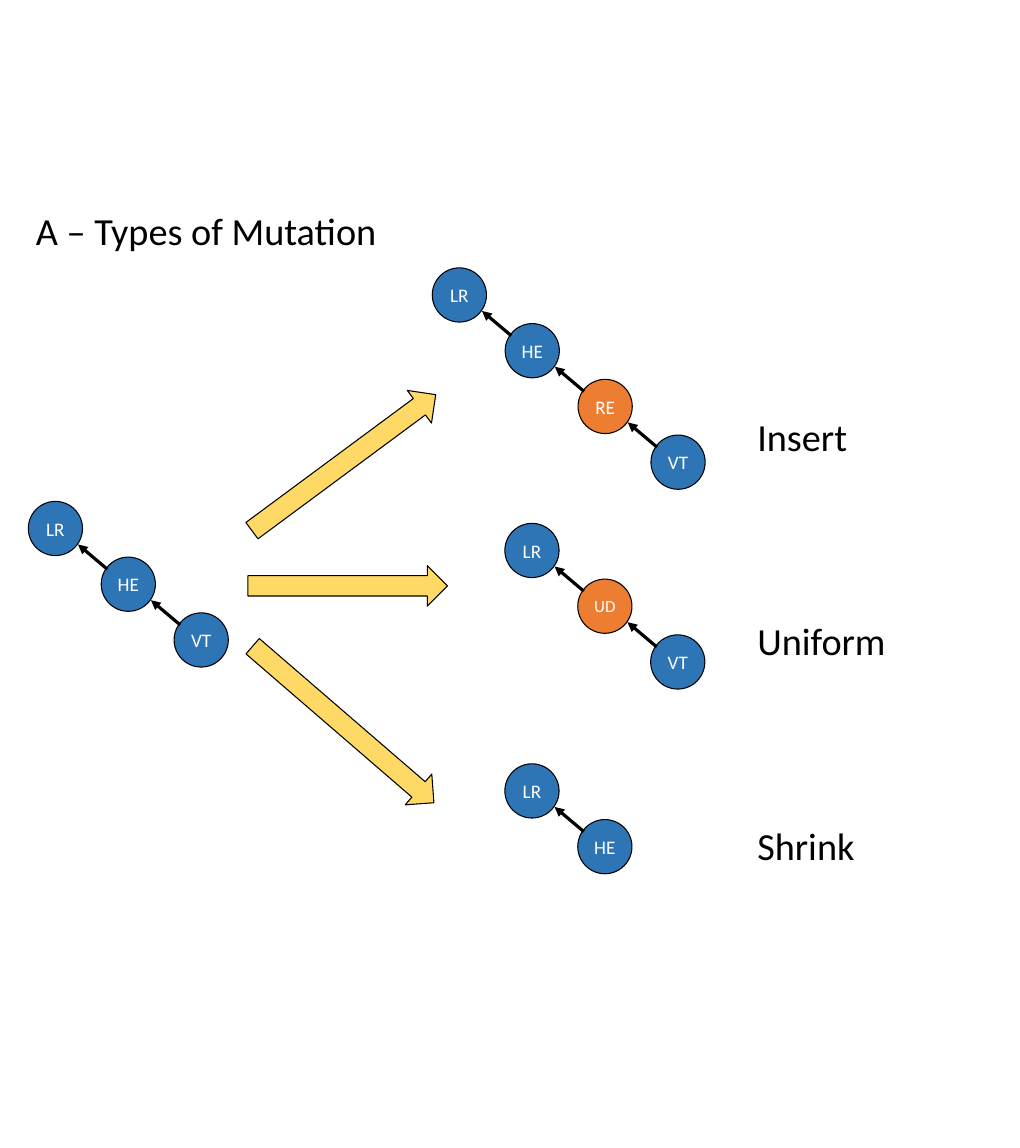
from dataclasses import dataclass

import pptx
import pptx.dml.color
import pptx.enum.shapes
import pptx.enum.text
import pptx.oxml
import pptx.oxml.ns
import pptx.util
from lxml import etree

Cm = pptx.util.Cm
Pt = pptx.util.Pt
SHAPE = pptx.enum.shapes.MSO_SHAPE
ALIGN = pptx.enum.text.PP_ALIGN
ANCHOR = pptx.enum.text.MSO_ANCHOR


@dataclass(frozen=True)
class Theme:
    font: str = "Calibri"
    ink: str = "000000"
    node_text: str = "FFFFFF"
    node: str = "2E75B6"
    mutated: str = "ED7D31"
    arrow: str = "FFD966"
    label_size: int = 36
    node_size: int = 18
    small_node_size: int = 16
    outline: int = 1
    link: int = 3


THEME = Theme()

# All lengths below are in centimetres.
NODE = 1.8
STEP_X, STEP_Y = 2.42, 1.85
LINK_START = (0.2, 0.4)    # from the child's corner
LINK_END = (1.65, 1.43)    # from the parent's corner
ARROW_HEIGHT = 1.35
LABEL_HEIGHT = 1.8
LABEL_LEFT, LABEL_TOP, LABEL_STEP = 24.89, 13.59, 6.78

CHAINS = [  # left, top, nodes, mutated node
    (0.94, 16.64, ["LR", "HE", "VT"], None),
    (14.35, 8.89, ["LR", "HE", "RE", "VT"], "RE"),
    (16.76, 17.37, ["LR", "UD", "VT"], "UD"),
    (16.76, 25.35, ["LR", "HE"], None),
]
ARROWS = [  # left, top, width, rotation
    (7.62, 14.68, 7.59, 323.5),
    (8.23, 18.77, 6.63, 0),
    (7.42, 23.37, 7.95, 40.8),
]
LABELS = [("Insert", 3.53), ("Uniform", 4.83), ("Shrink", 3.76)]


def rgb(value):
    return pptx.dml.color.RGBColor.from_string(value)


def write(frame, text, *, size, color, align=ALIGN.LEFT):
    para = frame.paragraphs[0]
    para.alignment = align
    span = para.add_run()
    span.text = text
    span.font.name = THEME.font
    span.font.size = Pt(size)
    span.font.color.rgb = rgb(color)


def add_figure(page, kind, left, top, width, height, fill):
    """Add a filled, outlined preset shape without a shadow."""
    figure = page.shapes.add_shape(kind, Cm(left), Cm(top), Cm(width), Cm(height))
    figure.shadow.inherit = False
    figure.fill.solid()
    figure.fill.fore_color.rgb = rgb(fill)
    figure.line.color.rgb = rgb(THEME.ink)
    figure.line.width = Pt(THEME.outline)
    return figure


def add_node(page, name, left, top, mutated):
    fill = THEME.mutated if mutated else THEME.node
    size = THEME.small_node_size if name == "UD" else THEME.node_size
    node = add_figure(page, SHAPE.OVAL, left, top, NODE, NODE, fill)
    frame = node.text_frame
    frame.word_wrap = False
    frame.vertical_anchor = ANCHOR.MIDDLE
    frame.margin_left = frame.margin_right = 0
    write(frame, name, size=size, color=THEME.node_text, align=ALIGN.CENTER)


def add_link(page, start, end):
    link = page.shapes.add_connector(
        pptx.enum.shapes.MSO_CONNECTOR.STRAIGHT, *(Cm(value) for value in start + end))
    link.line.color.rgb = rgb(THEME.ink)
    link.line.width = Pt(THEME.link)
    qn = pptx.oxml.ns.qn
    etree.SubElement(link.line._get_or_add_ln(), qn("a:tailEnd"), type="triangle")
    etree.SubElement(link._element.spPr, qn("a:effectLst"))


def add_chain(page, left, top, names, mutated):
    """Add nodes stepping down to the right, each linked to the one before."""
    for index, name in enumerate(names):
        x, y = left + index * STEP_X, top + index * STEP_Y
        add_node(page, name, x, y, name == mutated)
        if index:
            start = (x + LINK_START[0], y + LINK_START[1])
            end = (x - STEP_X + LINK_END[0], y - STEP_Y + LINK_END[1])
            add_link(page, start, end)


def add_arrow(page, left, top, width, rotation):
    arrow = add_figure(page, SHAPE.RIGHT_ARROW, left, top, width, ARROW_HEIGHT, THEME.arrow)
    arrow.rotation = rotation


def add_label(page, text, left, top, width):
    box = page.shapes.add_textbox(Cm(left), Cm(top), Cm(width), Cm(LABEL_HEIGHT))
    box.text_frame.word_wrap = False
    box.text_frame.auto_size = pptx.enum.text.MSO_AUTO_SIZE.SHAPE_TO_FIT_TEXT
    write(box.text_frame, text, size=THEME.label_size, color=THEME.ink)


def main():
    deck = pptx.Presentation()
    deck.slide_width, deck.slide_height = Cm(33.86), Cm(38.1)
    page = deck.slides.add_slide(deck.slide_layouts[6])
    add_label(page, "A – Types of Mutation", 0.94, 6.76, 11.94)
    for chain in CHAINS:
        add_chain(page, *chain)
    for arrow in ARROWS:
        add_arrow(page, *arrow)
    for row, (text, width) in enumerate(LABELS):
        add_label(page, text, LABEL_LEFT, LABEL_TOP + row * LABEL_STEP, width)
    deck.save("out.pptx")


if __name__ == "__main__":
    main()
